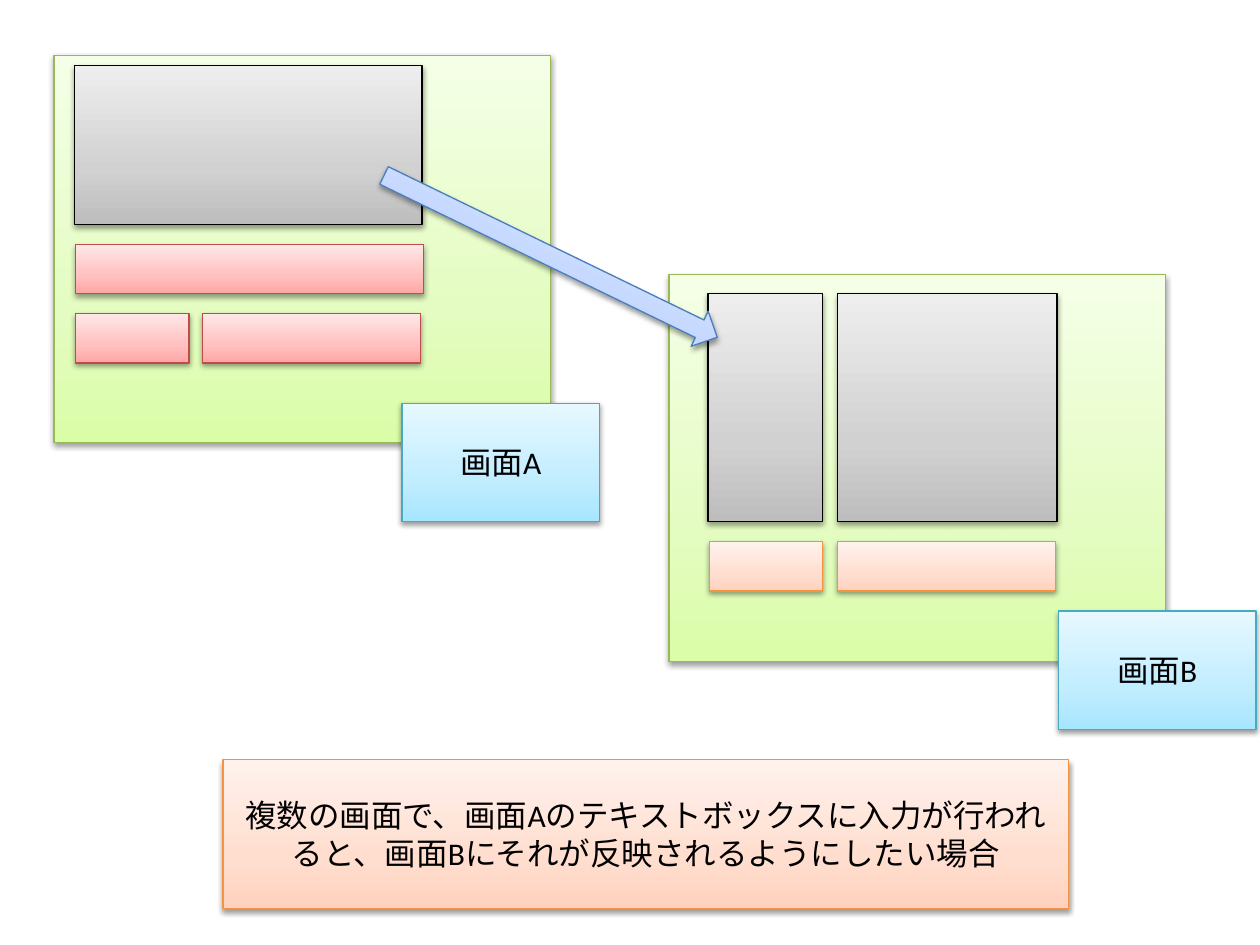
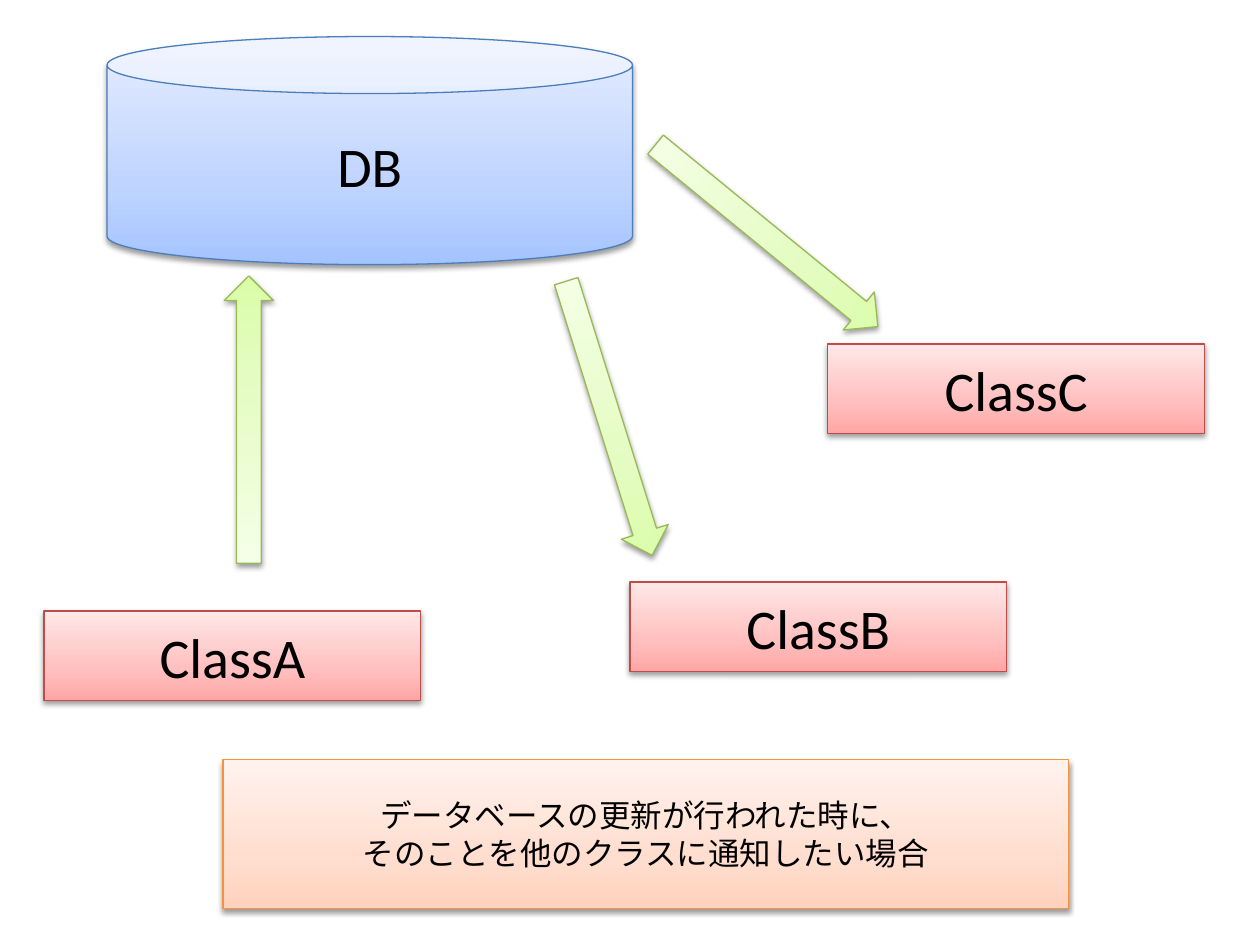
from copy import deepcopy

from lxml import etree
from pptx import Presentation
from pptx.dml.color import RGBColor
from pptx.enum.shapes import MSO_SHAPE as Shape
from pptx.enum.text import MSO_ANCHOR as Anchor, PP_ALIGN as Align
from pptx.oxml.ns import qn
from pptx.util import Inches, Pt

FONT = "Calibri"
STOP_POSITIONS = (0, 0.35, 1)

# Each style: gradient colours from bottom to top, then the outline
STYLES = {
    "green": (("DAFDA7", "E4FCC2", "F5FFE7"), "98B955"),
    "cyan": (("A7E6FF", "C1EDFF", "E7F8FF"), "46AAC5"),
    "gray": (("BDBDBD", "D1D1D1", "EEEEEE"), "000000"),
    "red": (("FFA6A5", "FFC0BF", "FFE7E7"), "BF4C48"),
    "orange": (("FFD2BD", "FFDED0", "FFF2ED"), "F69240"),
    "blue": (("A4C4FF", "BFD4FF", "E6EEFF"), "4B7EBC"),
}

# Slide 1: two screens, their name tags and the parts inside them
SCREEN_SIZE = (3.94, 3.07)
SCREENS = [(0.43, 0.44), (5.31, 2.18)]
TAG_SIZE = (1.57, 0.94)
TAGS = [("画面A", 3.19, 3.2), ("画面B", 8.4, 4.85)]
FIELD_HEIGHT = 0.39
SCREEN_A_TEXT_BOX = (0.59, 0.52, 2.76, 1.26)
SCREEN_A_FIELDS = [(0.6, 1.94, 2.76), (0.6, 2.49, 0.9), (1.61, 2.49, 1.73)]
SCREEN_B_COLUMNS = [(5.62, 0.91), (6.65, 1.74)]
SCREEN_B_FIELDS = [(5.63, 4.3, 0.9), (6.65, 4.3, 1.73)]
INPUT_ARROW = (2.9, 1.88, 2.94, 0.31)
SCREEN_CAPTION = ["複数の画面で、画面Aのテキストボックスに入力が行われると、画面Bにそれが反映されるようにしたい場合"]

# Slide 2: a database, the classes around it and the arrows between
DATABASE = (0.85, 0.29, 4.17, 1.81)
CLASS_SIZE = (2.99, 0.71)
CLASSES = [("ClassB", 5, 4.62), ("ClassA", 0.35, 4.85), ("ClassC", 6.57, 2.73)]
ARROW_SIZE = (0.39, 2.28)
ARROWS = [(4.64, 2.18, 342.6), (5.89, 0.73, 309.3), (1.78, 2.19, 180)]
DATABASE_CAPTION = ["データベースの更新が行われた時に、", "そのことを他のクラスに通知したい場合"]

CAPTION_BOX = (1.77, 6.03, 6.71, 1.18)


def color(hex_string):
    return RGBColor.from_string(hex_string)


def fill_gradient(shape, colors):
    shape.fill.gradient()
    shape.fill.gradient_angle = 90
    stop_list = next(shape._element.spPr.iter(qn("a:gsLst")))
    stop_list.append(deepcopy(stop_list[0]))
    for stop, position, hex_string in zip(shape.fill.gradient_stops, STOP_POSITIONS, colors):
        stop.position = position
        stop.color.rgb = color(hex_string)


def add_shadow(shape):
    shape.shadow.inherit = False
    effects = shape._element.spPr.find(qn("a:effectLst"))
    shadow = etree.SubElement(effects, qn("a:outerShdw"), blurRad="40000", dist="20000",
                              dir="5400000", rotWithShape="0")
    black = etree.SubElement(shadow, qn("a:srgbClr"), val="000000")
    etree.SubElement(black, qn("a:alpha"), val="38000")


def add_part(slide, box, style, lines=(), size=18, kind=Shape.RECTANGLE, rotation=0):
    shape = slide.shapes.add_shape(kind, *map(Inches, box))
    shape.rotation = rotation
    colors, outline = STYLES[style]
    fill_gradient(shape, colors)
    shape.line.color.rgb = color(outline)
    shape.line.width = Pt(0.75)
    add_shadow(shape)
    frame = shape.text_frame
    frame.word_wrap = True
    frame.vertical_anchor = Anchor.MIDDLE
    for index, line in enumerate(lines):
        paragraph = frame.add_paragraph() if index else frame.paragraphs[0]
        paragraph.text = line
        paragraph.alignment = Align.CENTER
        paragraph.font.name = FONT
        paragraph.font.size = Pt(size)
        paragraph.font.color.rgb = color("000000")


def add_caption(slide, lines):
    add_part(slide, CAPTION_BOX, "orange", lines)


def build_screens(slide):
    for corner in SCREENS:
        add_part(slide, corner + SCREEN_SIZE, "green")
    for name, left, top in TAGS:
        add_part(slide, (left, top) + TAG_SIZE, "cyan", [name])
    # Contents of screen A, then of screen B
    add_part(slide, SCREEN_A_TEXT_BOX, "gray")
    for field in SCREEN_A_FIELDS:
        add_part(slide, field + (FIELD_HEIGHT,), "red")
    for left, width in SCREEN_B_COLUMNS:
        add_part(slide, (left, 2.33, width, 1.81), "gray")
    for field in SCREEN_B_FIELDS:
        add_part(slide, field + (FIELD_HEIGHT,), "orange")
    add_part(slide, INPUT_ARROW, "blue", kind=Shape.RIGHT_ARROW, rotation=25.9)
    add_caption(slide, SCREEN_CAPTION)


def build_database(slide):
    add_part(slide, DATABASE, "blue", ["DB"], 32, Shape.CAN)
    for name, left, top in CLASSES:
        add_part(slide, (left, top) + CLASS_SIZE, "red", [name], 32)
    for left, top, rotation in ARROWS:
        add_part(slide, (left, top) + ARROW_SIZE, "green", kind=Shape.DOWN_ARROW, rotation=rotation)
    add_caption(slide, DATABASE_CAPTION)


def main():
    presentation = Presentation()
    presentation.slide_width = Inches(10)
    presentation.slide_height = Inches(7.5)
    for build in (build_screens, build_database):
        build(presentation.slides.add_slide(presentation.slide_layouts[6]))
    presentation.save("out.pptx")


if __name__ == "__main__":
    main()
